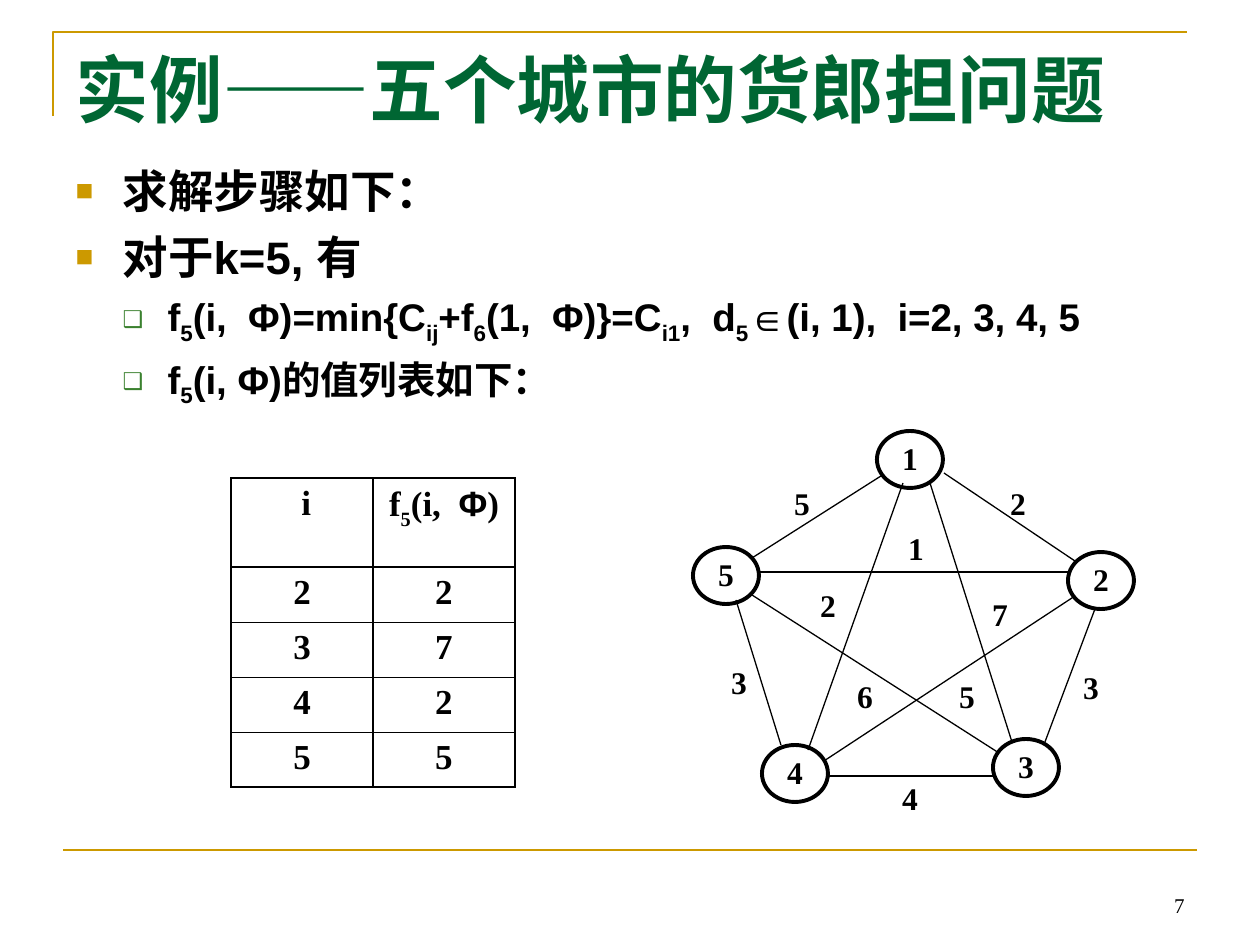
"""Build a slide on the five-city travelling salesman problem."""
from lxml.etree import SubElement
from pptx import Presentation
from pptx.dml.color import RGBColor
from pptx.enum.shapes import MSO_CONNECTOR, MSO_SHAPE
from pptx.enum.text import MSO_ANCHOR, MSO_AUTO_SIZE, PP_ALIGN
from pptx.oxml.ns import qn
from pptx.util import Pt

PX = 914400 / 126
BLACK = RGBColor(0x00, 0x00, 0x00)
WHITE = RGBColor(0xFF, 0xFF, 0xFF)
GOLD = RGBColor(0xCC, 0x99, 0x00)
GREEN = RGBColor(0x00, 0x66, 0x33)
LEAF = RGBColor(0x3B, 0x81, 0x2F)
SERIF, SANS = "Times New Roman", "Arial"


def write(p, text, size=18, font=SERIF, color=BLACK, bold=True, align=PP_ALIGN.CENTER, base=-25):
    """Add text to a paragraph; every second part between bars is a subscript."""
    p.alignment = align
    for i, part in enumerate(text.split("|")):
        r = p.add_run()
        r.text = part
        r.font.size, r.font.name, r.font.bold = Pt(size), font, bold
        r.font.color.rgb = color
        if i % 2:
            r._r.get_or_add_rPr().set("baseline", str(base * 1000))


def line(shapes, x1, y1, x2, y2, color=BLACK, width=0.75):
    """Draw a straight line without a shadow."""
    ln = shapes.add_connector(MSO_CONNECTOR.STRAIGHT, *[round(v * PX) for v in (x1, y1, x2, y2)])
    ln.line.color.rgb, ln.line.width = color, Pt(width)
    SubElement(ln._element.spPr, qn("a:effectLst"))


prs = Presentation()
prs.slide_width, prs.slide_height = round(1260 * PX), round(945 * PX)
s = prs.slides.add_slide(prs.slide_layouts[1])

frame = s.shapes.build_freeform(53, 116, scale=PX)
frame.add_line_segments([(53, 32), (1187, 32)], close=False)
sp = frame.convert_to_shape()
sp.shadow.inherit = False
sp.fill.background()
sp.line.color.rgb, sp.line.width = GOLD, Pt(1.5)
line(s.shapes, 63, 850, 1197, 850, GOLD, 1.5)

sp = s.shapes.add_textbox(*[round(v * PX) for v in (903, 861, 294, 63)])
tf = sp.text_frame
tf.word_wrap, tf.vertical_anchor = True, MSO_ANCHOR.BOTTOM
write(tf.paragraphs[0], "7", size=12, bold=False, align=PP_ALIGN.RIGHT)

title, body = s.placeholders
for sp, box in ((title, (63, 38, 1134, 157)), (body, (63, 157, 1092, 624))):
    sp.left, sp.top, sp.width, sp.height = [round(v * PX) for v in box]
    sp.text_frame.auto_size = MSO_AUTO_SIZE.NONE
    sp.text_frame.vertical_anchor = MSO_ANCHOR.TOP

p = title.text_frame.paragraphs[0]
for text, font in (("实例", SERIF), ("——", SANS), ("五个城市的货郎担问题", SERIF)):
    write(p, text, size=42, font=font, color=GREEN, align=PP_ALIGN.LEFT)

LEVELS = [
    dict(size=26, before=6.5, margin=47, indent=-47, char="■", color=GOLD, pct=65),
    dict(size=22, before=5.5, margin=92, indent=-45, char="❑", color=LEAF, pct=60),
]
STEPS = [
    (0, "求解步骤如下："),
    (0, "对于k=5, 有"),
    (1, "f|5|(i,  Φ)=min{C|ij|+f|6|(1,  Φ)}=C|i1|,  d|5|∈(i, 1),  i=2, 3, 4, 5"),
    (1, "f|5|(i, Φ)的值列表如下："),
]
tf = body.text_frame
for i, (level, text) in enumerate(STEPS):
    fmt = LEVELS[level]
    p = tf.add_paragraph() if i else tf.paragraphs[0]
    p.level = level
    pPr = p._p.get_or_add_pPr()
    pPr.set("marL", str(round(fmt["margin"] * PX)))
    pPr.set("indent", str(round(fmt["indent"] * PX)))
    SubElement(SubElement(pPr, qn("a:buClr")), qn("a:srgbClr"), val=str(fmt["color"]))
    SubElement(pPr, qn("a:buSzPct"), val=str(fmt["pct"] * 1000))
    SubElement(pPr, qn("a:buFont"), typeface=SANS)
    SubElement(pPr, qn("a:buChar"), char=fmt["char"])
    p.space_before = Pt(fmt["before"] if i else 0)
    write(p, text, size=fmt["size"], font=SANS, align=PP_ALIGN.LEFT)

NODES = {"4": (762, 745), "3": (993, 739), "5": (693, 547), "2": (1068, 552), "1": (877, 431)}
EDGES = [
    (759, 572, 1071, 572), (752, 595, 999, 753), (903, 483, 808, 750), (930, 483, 1012, 742),
    (824, 761, 1075, 596), (752, 558, 881, 476), (944, 473, 1075, 561), (736, 600, 781, 745),
    (828, 776, 995, 776), (1045, 742, 1095, 609),
]
COSTS = [
    ("5", 779, 484), ("2", 995, 484), ("3", 716, 663), ("3", 1068, 668), ("4", 887, 779),
    ("1", 893, 529), ("6", 842, 677), ("2", 805, 586), ("5", 944, 677), ("7", 977, 595),
]
graph = s.shapes.add_group_shape().shapes
labels = []
for city, (x, y) in NODES.items():
    sp = graph.add_shape(MSO_SHAPE.OVAL, *[round(v * PX) for v in (x, y, 66, 57)])
    sp.shadow.inherit = False
    sp.fill.solid()
    sp.fill.fore_color.rgb = WHITE
    sp.line.color.rgb, sp.line.width = BLACK, Pt(2.25)
    labels.append((sp, city))
for edge in EDGES:
    line(graph, *edge)
for cost, x, y in COSTS:
    labels.append((graph.add_textbox(*[round(v * PX) for v in (x, y, 46, 40)]), cost))
for sp, text in labels:
    tf = sp.text_frame
    tf.word_wrap, tf.vertical_anchor = True, MSO_ANCHOR.TOP
    tf.margin_left = tf.margin_top = tf.margin_right = tf.margin_bottom = 0
    write(tf.paragraphs[0], text)

ROWS = [(" i", "f|5|(i,  "), ("2", "2"), ("3", "7"), ("4", "2"), ("5", "5")]
HEIGHTS = [89, 55, 55, 55, 55]
box = [round(v * PX) for v in (231, 478, 284, sum(HEIGHTS))]
table = s.shapes.add_table(len(ROWS), 2, *box).table
table.first_row = table.horz_banding = False
for i, (row, height) in enumerate(zip(ROWS, HEIGHTS)):
    table.rows[i].height = round(height * PX)
    top = 0.96 if i < 2 else 0.45
    bottom = 0.96 if i in (0, len(ROWS) - 1) else 0.45
    for j, text in enumerate(row):
        cell = table.cell(i, j)
        write(cell.text_frame.paragraphs[0], text, size=20, base=-30)
        tcPr = cell._tc.get_or_add_tcPr()
        for side, width in (("L", 0.96), ("R", 0.96), ("T", top), ("B", bottom)):
            ln = SubElement(tcPr, qn(f"a:ln{side}"), w=str(Pt(width)))
            SubElement(SubElement(ln, qn("a:solidFill")), qn("a:srgbClr"), val=str(BLACK))
        cell.fill.background()
p = table.cell(0, 1).text_frame.paragraphs[0]
write(p, "Φ", size=20, font=SANS)
write(p, ")", size=20)

prs.save("out.pptx")
